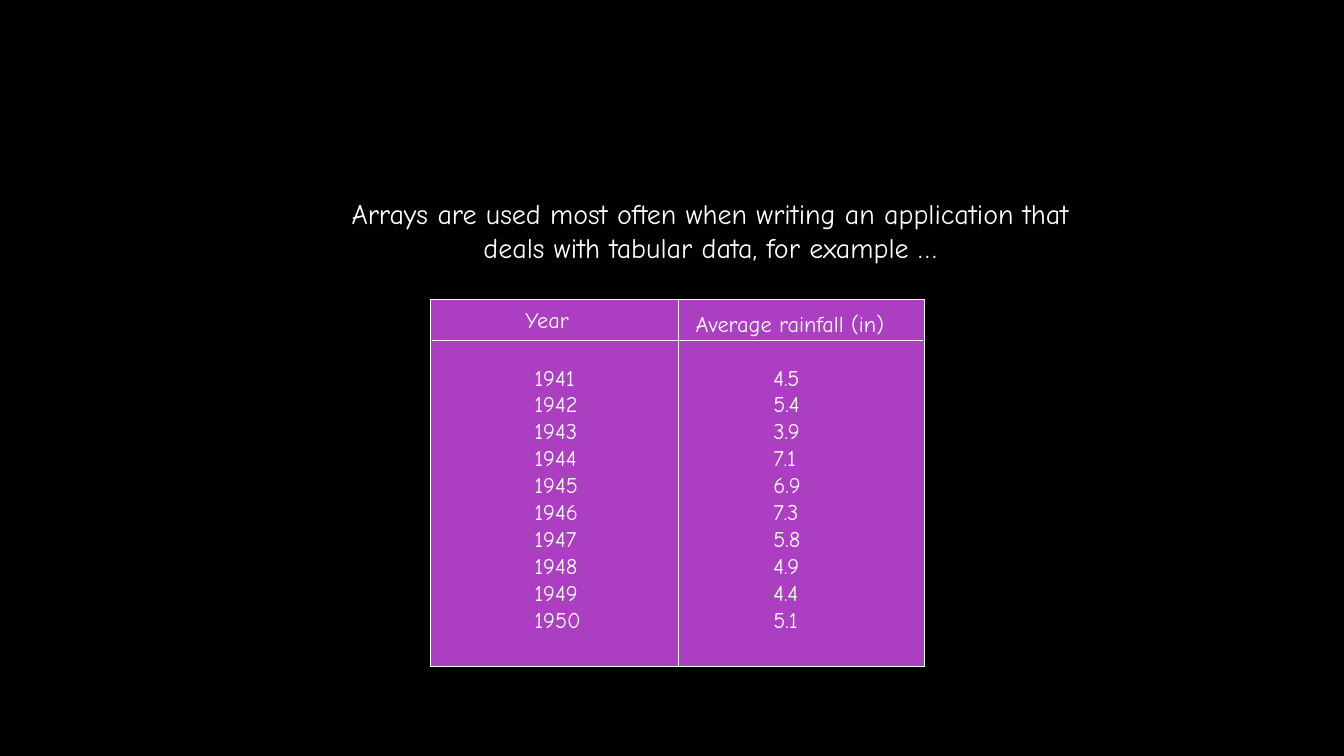
"""Builds a slide that shows yearly rainfall as an example of tabular data."""
from lxml.etree import SubElement
from pptx import Presentation
from pptx.dml.color import RGBColor
from pptx.enum.shapes import MSO_CONNECTOR
from pptx.enum.text import MSO_ANCHOR, PP_ALIGN
from pptx.oxml.ns import qn
from pptx.util import Inches, Pt

STATEMENT = ["Arrays are used most often when writing an application that",
             "deals with tabular data, for example …"]
HEADINGS = ("Year", "Average rainfall (in)")
RAINFALL = [("1941", "4.5"), ("1942", "5.4"), ("1943", "3.9"), ("1944", "7.1"),
            ("1945", "6.9"), ("1946", "7.3"), ("1947", "5.8"), ("1948", "4.9"),
            ("1949", "4.4"), ("1950", "5.1")]

FONT, BLACK, WHITE, PURPLE = "Comic Neue", "000000", "FFFFFF", "AC3EC1"
STATEMENT_BOX = (3.05, 1.9, 7.99, 0.77)
TABLE_LEFT, TABLE_TOP, TABLE_HEIGHT = 4.27, 2.97, 3.64
COLUMN_WIDTHS = (2.46, 2.44)
HEADING_INDENTS, HEADING_DROPS = (0.94, 0.17), (0.09, 0.13)
VALUE_INDENTS = (1.03, 0.94)
HEADING_HEIGHT, GAP_ABOVE, GAP_BELOW = 0.41, 0.25, 0.31
THIN, THICK = 0.75, 1.25


def colour(hex_code):
    """Turn a hex string into a colour."""
    return RGBColor.from_string(hex_code)


def style_text(frame, size):
    """Give every run the slide's font, in white."""
    for paragraph in frame.paragraphs:
        for run in paragraph.runs:
            run.font.name, run.font.size = FONT, Pt(size)
            run.font.color.rgb = colour(WHITE)


def set_border(cell, side, visible):
    """Draw one edge of a cell in white, or leave it clear."""
    edge = SubElement(cell._tc.get_or_add_tcPr(), qn(f"a:ln{side}"), w=str(Pt(THIN)))
    if visible:
        SubElement(SubElement(edge, qn("a:solidFill")), qn("a:srgbClr"), val=WHITE)
    else:
        SubElement(edge, qn("a:noFill"))


def add_statement(slide):
    """Place the statement in the title placeholder."""
    statement = slide.shapes.title
    statement.left, statement.top, statement.width, statement.height = map(Inches, STATEMENT_BOX)
    frame = statement.text_frame
    frame.text = "\n".join(STATEMENT)
    frame.word_wrap = False
    frame.vertical_anchor = MSO_ANCHOR.TOP
    for paragraph in frame.paragraphs:
        paragraph.alignment = PP_ALIGN.CENTER
    style_text(frame, 20)


def add_rainfall_table(slide):
    """Draw the table with a border around it."""
    rows = [HEADINGS, *RAINFALL]
    last = len(rows) - 1
    line_height = (TABLE_HEIGHT - HEADING_HEIGHT - GAP_ABOVE - GAP_BELOW) / len(RAINFALL)
    table = slide.shapes.add_table(
        len(rows), len(HEADINGS), Inches(TABLE_LEFT), Inches(TABLE_TOP),
        Inches(sum(COLUMN_WIDTHS)), Inches(TABLE_HEIGHT)).table
    table.first_row = table.horz_banding = False
    no_grid = "{2D5ABB26-0587-4C30-8999-92F81FD0307C}"
    table._tbl.tblPr.find(qn("a:tableStyleId")).text = no_grid
    for column, width in zip(table.columns, COLUMN_WIDTHS):
        column.width = Inches(width)

    for r, values in enumerate(rows):
        above = GAP_ABOVE if r == 1 else 0
        below = GAP_BELOW if r == last else 0
        table.rows[r].height = Inches(line_height + above + below if r else HEADING_HEIGHT)
        for c, value in enumerate(values):
            cell = table.cell(r, c)
            cell.text = value
            cell.vertical_anchor = MSO_ANCHOR.TOP
            cell.margin_left = Inches(VALUE_INDENTS[c] if r else HEADING_INDENTS[c])
            cell.margin_top = Inches(above if r else HEADING_DROPS[c])
            cell.margin_right, cell.margin_bottom = 0, Inches(below)
            outer = {"L": c == 0, "R": c == 1, "T": r == 0, "B": r == last}
            for side, visible in outer.items():
                set_border(cell, side, visible)
            cell.fill.solid()
            cell.fill.fore_color.rgb = colour(PURPLE)
            style_text(cell.text_frame, 16)


def add_rules(slide):
    """Rule the table between its columns and under its headings."""
    divider_x = TABLE_LEFT + COLUMN_WIDTHS[0]
    heading_y = TABLE_TOP + HEADING_HEIGHT
    right = TABLE_LEFT + sum(COLUMN_WIDTHS)
    rules = [((divider_x, TABLE_TOP + 0.01, divider_x, TABLE_TOP + TABLE_HEIGHT + 0.01), THICK),
             ((TABLE_LEFT + 0.01, heading_y, right - 0.02, heading_y), THIN)]
    for ends, width in rules:
        rule = slide.shapes.add_connector(MSO_CONNECTOR.STRAIGHT, *map(Inches, ends))
        rule.line.color.rgb, rule.line.width = colour(WHITE), Pt(width)
        SubElement(rule._element.spPr, qn("a:effectLst"))


def main():
    """Build and save the slide."""
    deck = Presentation()
    deck.slide_width, deck.slide_height = Inches(13.33), Inches(7.5)
    slide = deck.slides.add_slide(deck.slide_layouts[5])
    slide.background.fill.solid()
    slide.background.fill.fore_color.rgb = colour(BLACK)
    add_statement(slide)
    add_rainfall_table(slide)
    add_rules(slide)
    deck.save("out.pptx")


if __name__ == "__main__":
    main()
